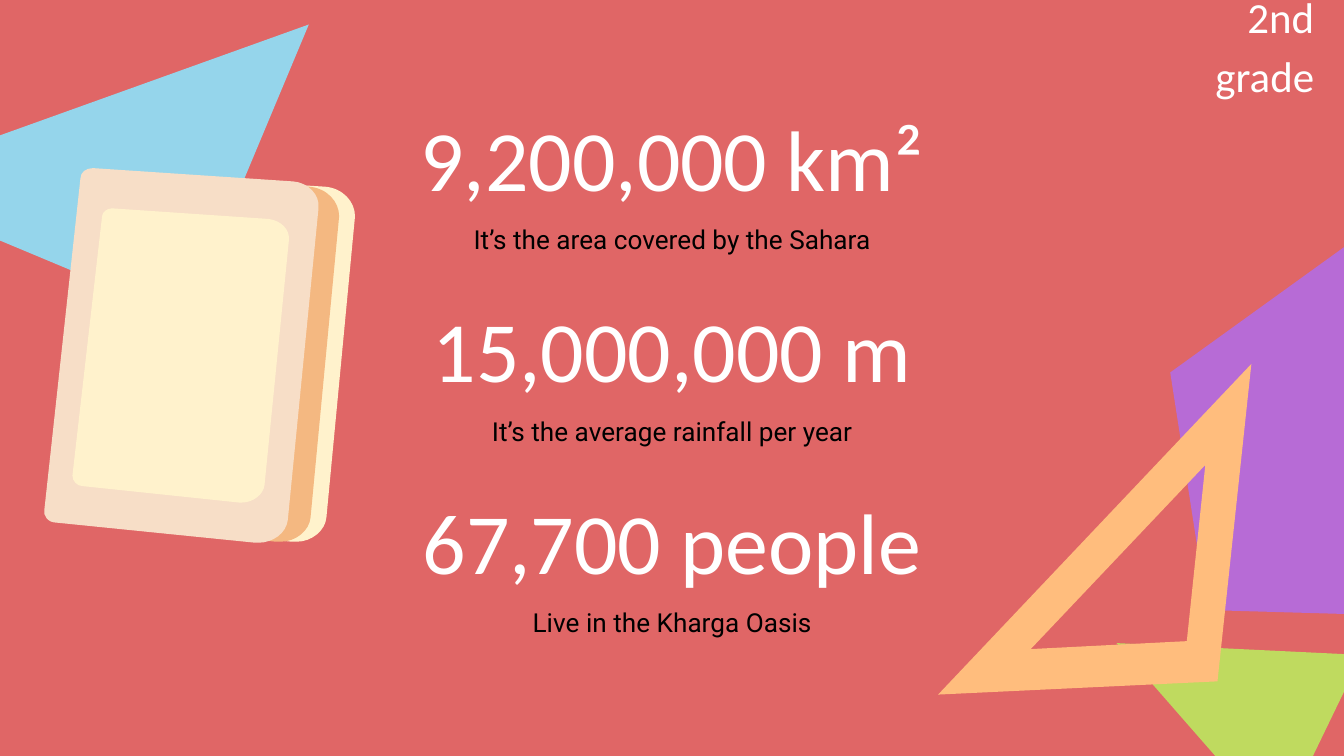
"""Build the Sahara figures slide with its school-supplies decoration."""
from dataclasses import dataclass

from lxml import etree
from pptx import Presentation
from pptx import util as u
from pptx.dml.color import RGBColor
from pptx.enum import shapes as s, text as t
from pptx.oxml import ns
from pptx.slide import Slide

CORAL = RGBColor(0xE0, 0x66, 0x66)
PURPLE = RGBColor(0xB7, 0x6B, 0xD6)
GREEN = RGBColor(0xBF, 0xDA, 0x5F)
BLUE = RGBColor(0x95, 0xD5, 0xEB)
ORANGE = RGBColor(0xFF, 0xBD, 0x7D)
CREAM = RGBColor(0xFF, 0xF2, 0xCC)
AMBER = RGBColor(0xF4, 0xB8, 0x81)
PEACH = RGBColor(0xF7, 0xDE, 0xC7)
WHITE = RGBColor(0xFF, 0xFF, 0xFF)
BLACK = RGBColor(0x00, 0x00, 0x00)

ROW_STEP = 3.62

Box = tuple[float, float, float, float]
Contour = list[tuple[float, ...]]


@dataclass(frozen=True)
class Figure:
    value: str
    caption: str


@dataclass(frozen=True)
class Style:
    font: str
    size: int
    color: RGBColor
    align: t.PP_ALIGN
    anchor: t.MSO_ANCHOR
    line_spacing: float = 1.0
    space_after: int = 0


@dataclass(frozen=True)
class PaperCut:
    kind: s.MSO_SHAPE
    box: Box
    rotation: float
    color: RGBColor
    flipped: bool = False


@dataclass(frozen=True)
class Outline:
    contours: list[Contour]
    color: RGBColor
    shift: float = 0


VALUE = Style("Calibri", 46, WHITE, t.PP_ALIGN.CENTER, t.MSO_ANCHOR.MIDDLE)
CAPTION = Style("Roboto", 14, BLACK, t.PP_ALIGN.CENTER, t.MSO_ANCHOR.TOP, 1.15, 12)
GRADE = Style("Calibri", 23, WHITE, t.PP_ALIGN.RIGHT, t.MSO_ANCHOR.MIDDLE, 1.15, 12)

FIGURES = [
    Figure("9,200,000 km²", "It’s the area covered by the Sahara"),
    Figure("15,000,000 m", "It’s the average rainfall per year"),
    Figure("67,700 people", "Live in the Kharga Oasis"),
]

PAPER_CUTS = [
    PaperCut(s.MSO_SHAPE.REGULAR_PENTAGON, (21.11, 5.13, 7.75, 6.22), 292.7, PURPLE),
    PaperCut(s.MSO_SHAPE.ISOSCELES_TRIANGLE, (21.21, 10.95, 3.63, 4.27), 295.8, GREEN),
    PaperCut(s.MSO_SHAPE.RIGHT_TRIANGLE, (-1.65, -1.04, 6.58, 6.02), 22.7, BLUE, True),
]

SET_SQUARE = Outline([
    [(22.43, 12.12), (19.48, 12.27), (22.78, 8.79)],
    [(23.01, 12.88), (23.65, 6.88), (17.73, 13.13)],
], ORANGE)
PAGES = [[
    (2.13, 3.28), (1.42, 9.83), (5.51, 10.24),
    (5.54, 10.24, 5.59, 10.24, 5.61, 10.24),
    (5.89, 10.24, 6.15, 10.03, 6.17, 9.78), (6.71, 4.09),
    (6.71, 3.81, 6.48, 3.56, 6.15, 3.53),
]]
COVER = [[
    (1.75, 3.18), (1.63, 3.18, 1.52, 3.25, 1.52, 3.38), (0.84, 9.63),
    (0.81, 9.75, 0.91, 9.88, 1.07, 9.88), (4.83, 10.26),
    (4.85, 10.26, 4.85, 10.26, 4.88, 10.26),
    (5.16, 10.26, 5.41, 10.08, 5.44, 9.83), (6.02, 3.94),
    (6.05, 3.68, 5.82, 3.45, 5.54, 3.43), (1.78, 3.18),
    (1.78, 3.18, 1.78, 3.18, 1.75, 3.18),
]]
LABEL = [[
    (2.11, 3.94), (2.03, 3.94, 1.93, 4.01, 1.93, 4.09), (1.37, 8.99),
    (1.37, 9.09, 1.45, 9.19, 1.57, 9.19), (4.52, 9.5),
    (4.55, 9.5, 4.55, 9.5, 4.57, 9.5),
    (4.78, 9.5, 4.98, 9.35, 5, 9.17), (5.46, 4.55),
    (5.49, 4.34, 5.31, 4.17, 5.08, 4.14), (2.13, 3.94),
    (2.13, 3.94, 2.13, 3.94, 2.11, 3.94),
]]
BOOK = [
    Outline(PAGES, CREAM),
    Outline(PAGES, AMBER, -0.3),
    Outline(COVER, PEACH),
    Outline(LABEL, CREAM),
]


def paint(shape, color: RGBColor) -> None:
    shape.shadow.inherit = False
    shape.fill.solid()
    shape.fill.fore_color.rgb = color
    shape.line.fill.background()


def draw_paper_cut(slide: Slide, cut: PaperCut) -> None:
    shape = slide.shapes.add_shape(cut.kind, *map(u.Cm, cut.box))
    shape.rotation = cut.rotation
    if cut.flipped:
        shape._element.spPr.xfrm.flipH = True
    paint(shape, cut.color)


def bend(shape, contours: list[Contour]) -> None:
    lines = iter(list(shape._element.iter(ns.qn("a:lnTo"))))
    for step in (step for contour in contours for step in contour[1:]):
        start = next(lines)
        if len(step) == 6:
            curve = etree.Element(ns.qn("a:cubicBezTo"))
            start.addprevious(curve)
            for line in (start, next(lines), next(lines)):
                curve.append(line[0])
                line.getparent().remove(line)


def draw_outline(slide: Slide, outline: Outline) -> None:
    contours = [
        [(u.Cm(step[i] + outline.shift), u.Cm(step[i + 1]))
         for step in contour for i in range(0, len(step), 2)]
        for contour in outline.contours
    ]
    builder = slide.shapes.build_freeform(*contours[0][0])
    builder.add_line_segments(contours[0][1:])
    for contour in contours[1:]:
        builder.move_to(*contour[0])
        builder.add_line_segments(contour[1:])
    shape = builder.convert_to_shape()
    bend(shape, outline.contours)
    paint(shape, outline.color)


def write(slide: Slide, shape, content: str, box: Box, style: Style) -> None:
    slide.shapes._spTree.append(shape._element)
    shape.left, shape.top, shape.width, shape.height = map(u.Cm, box)
    frame = shape.text_frame
    frame.text = content
    frame.word_wrap = True
    frame.auto_size = t.MSO_AUTO_SIZE.NONE
    frame.vertical_anchor = style.anchor
    frame.margin_left = frame.margin_right = u.Cm(0.25)
    frame.margin_top = frame.margin_bottom = u.Cm(0.25)
    paragraph = frame.paragraphs[0]
    properties = paragraph._p.get_or_add_pPr()
    properties.set("marL", "0")
    properties.set("indent", "0")
    etree.SubElement(properties, ns.qn("a:buNone"))
    paragraph.alignment = style.align
    paragraph.line_spacing = style.line_spacing
    paragraph.space_before = u.Pt(0)
    paragraph.space_after = u.Pt(style.space_after)
    font = paragraph.runs[0].font
    font.name, font.size, font.bold = style.font, u.Pt(style.size), False
    font.color.rgb = style.color


def main() -> None:
    deck = Presentation()
    deck.slide_width, deck.slide_height = u.Cm(25.4), u.Cm(14.29)
    slide = deck.slides.add_slide(deck.slide_layouts[4])
    slide.background.fill.solid()
    slide.background.fill.fore_color.rgb = CORAL
    headline, *captions, grade = list(slide.placeholders)

    for cut in PAPER_CUTS:
        draw_paper_cut(slide, cut)
    draw_outline(slide, SET_SQUARE)
    for row, (figure, caption) in enumerate(zip(FIGURES, captions)):
        offset = row * ROW_STEP
        value_box = (7.2, 2.12 + offset, 11, 1.7)
        value = slide.shapes.add_textbox(*map(u.Cm, value_box)) if row else headline
        write(slide, value, figure.value, value_box, VALUE)
        write(slide, caption, figure.caption, (7.89, 3.89 + offset, 9.63, 1.04), CAPTION)
    for outline in BOOK:
        draw_outline(slide, outline)
    write(slide, grade, "2nd grade", (21.69, 0.29, 3.4, 1.02), GRADE)
    deck.save("out.pptx")


if __name__ == "__main__":
    main()
